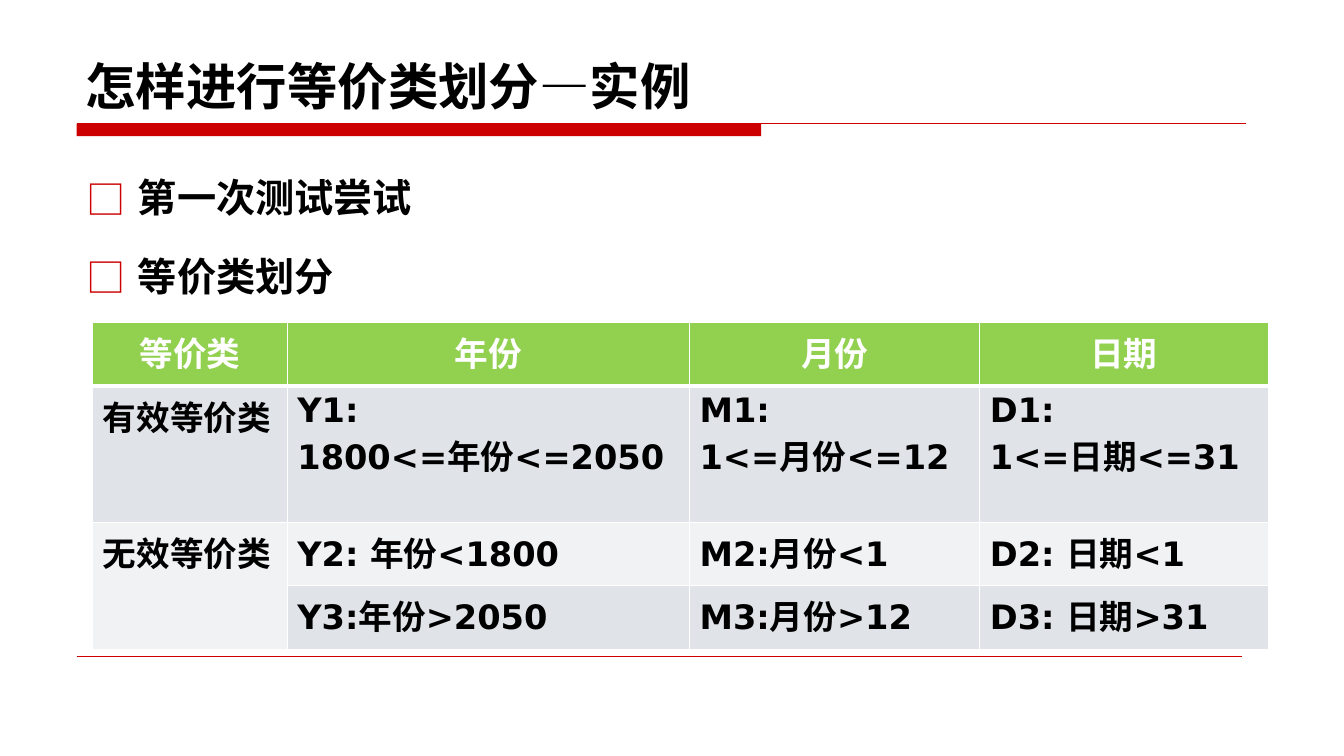
from dataclasses import dataclass

from lxml.etree import SubElement
from pptx import Presentation
from pptx.dml.color import RGBColor
from pptx.enum.shapes import MSO_CONNECTOR as Connector, MSO_SHAPE as Preset
from pptx.enum.text import MSO_ANCHOR as Anchor, PP_ALIGN as Align
from pptx.oxml.ns import qn
from pptx.util import Inches, Pt

BLACK = RGBColor(0x00, 0x00, 0x00)
WHITE = RGBColor(0xFF, 0xFF, 0xFF)
RED = RGBColor(0xCC, 0x00, 0x00)
GREEN = RGBColor(0x92, 0xD0, 0x50)
DARK_BAND = RGBColor(0xE0, 0xE4, 0xE9)
LIGHT_BAND = RGBColor(0xF0, 0xF2, 0xF4)
HAN_FONT = "Noto Sans CJK SC"
LATIN_FONT = "DejaVu Sans"

deck = Presentation()
deck.slide_width, deck.slide_height = Inches(13.33), Inches(7.5)
slide = deck.slides.add_slide(deck.slide_layouts[6])


@dataclass(frozen=True)
class Area:
    left: float
    top: float
    width: float
    height: float

    def box(self) -> tuple[int, int, int, int]:
        return across(self.left), down(self.top), across(self.width), down(self.height)


@dataclass(frozen=True)
class Rule:
    left: float
    right: float
    row: float
    weight: float


@dataclass(frozen=True)
class Style:
    size: float
    latin: str
    color: RGBColor


@dataclass(frozen=True)
class TableRow:
    height: float
    fills: tuple[RGBColor, ...]
    style: Style
    align: Align
    bottom_border: float
    cells: tuple[str, ...]


def across(columns: float) -> int:
    return round(deck.slide_width * columns / 100)


def down(rows: float) -> int:
    return round(deck.slide_height * rows / 100)


def add_run(paragraph, text: str, style: Style) -> None:
    run = paragraph.add_run()
    run.text = text
    run.font.size = Pt(style.size)
    run.font.bold = True
    run.font.name = style.latin
    run.font.color.rgb = style.color
    SubElement(run.font._element, qn("a:ea"), typeface=HAN_FONT)


def add_lines(frame, lines: list[str], style: Style) -> list:
    for index, line in enumerate(lines):
        paragraph = frame.paragraphs[0] if index == 0 else frame.add_paragraph()
        add_run(paragraph, line, style)
    return list(frame.paragraphs)


def add_text(area: Area, anchor: Anchor, lines: list[str], style: Style) -> list:
    frame = slide.shapes.add_textbox(*area.box()).text_frame
    frame.word_wrap = True
    frame.vertical_anchor = anchor
    return add_lines(frame, lines, style)


def add_bullet(paragraph) -> None:
    paragraph.line_spacing = 1.5
    paragraph.space_before = Pt(5.6)
    properties = paragraph._p.get_or_add_pPr()
    properties.set("marL", str(Inches(0.51)))
    properties.set("indent", str(-Inches(0.51)))
    color = SubElement(properties, qn("a:buClr"))
    SubElement(color, qn("a:srgbClr"), val=str(RED))
    SubElement(properties, qn("a:buFont"), typeface=HAN_FONT)
    SubElement(properties, qn("a:buChar"), char="□")


def add_rule(rule: Rule) -> None:
    line = slide.shapes.add_connector(
        Connector.STRAIGHT, across(rule.left), down(rule.row), across(rule.right), down(rule.row)
    )
    line.line.color.rgb = RED
    line.line.width = Pt(rule.weight)
    SubElement(line._element.spPr, qn("a:effectLst"))


def add_borders(cell, top: float, bottom: float) -> None:
    properties = cell._tc.get_or_add_tcPr()
    weights = {"a:lnL": 1, "a:lnR": 1, "a:lnT": top, "a:lnB": bottom}
    for position, (side, weight) in enumerate(weights.items()):
        border = properties.makeelement(qn(side), {"w": str(Pt(weight))})
        fill = SubElement(border, qn("a:solidFill"))
        SubElement(fill, qn("a:srgbClr"), val=str(WHITE))
        properties.insert(position, border)


def add_class_table(left: float, top: float, widths: tuple[float, ...], rows: list[TableRow]):
    area = Area(left, top, sum(widths), sum(row.height for row in rows))
    table = slide.shapes.add_table(len(rows), len(widths), *area.box()).table
    for column, width in zip(table.columns, widths):
        column.width = across(width)
    border_above = 1
    for row_index, row in enumerate(rows):
        table.rows[row_index].height = down(row.height)
        for column_index, (text, fill) in enumerate(zip(row.cells, row.fills)):
            cell = table.cell(row_index, column_index)
            cell.fill.solid()
            cell.fill.fore_color.rgb = fill
            add_borders(cell, border_above, row.bottom_border)
            if text:
                for paragraph in add_lines(cell.text_frame, text.split("\n"), row.style):
                    paragraph.alignment = row.align
        border_above = row.bottom_border
    return table


title_bar = slide.shapes.add_shape(Preset.RECTANGLE, *Area(5.7, 16.4, 50.93, 1.6).box())
title_bar.shadow.inherit = False
title_bar.fill.solid()
title_bar.fill.fore_color.rgb = RED
title_bar.line.fill.background()

for rule in (Rule(5.7, 92.7, 16.4, 0.75), Rule(5.7, 92.4, 86.8, 0.25)):
    add_rule(rule)

add_text(
    Area(5.63, 3.87, 87.53, 12.13), Anchor.BOTTOM,
    ["怎样进行等价类划分—实例"], Style(36, HAN_FONT, BLACK),
)
for topic in add_text(
    Area(5.7, 19.2, 87.53, 62.27), Anchor.TOP,
    ["第一次测试尝试", "等价类划分"], Style(28, HAN_FONT, BLACK),
):
    add_bullet(topic)

heading = Style(24, LATIN_FONT, WHITE)
entry = Style(24, LATIN_FONT, BLACK)
class_rows = [
    TableRow(8.4, (GREEN,) * 4, heading, Align.CENTER, 3, ("等价类", "年份", "月份", "日期")),
    TableRow(18, (DARK_BAND,) * 4, entry, Align.LEFT, 1, (
        "有效等价类", "Y1:\n1800<=年份<=2050", "M1:\n1<=月份<=12", "D1:\n1<=日期<=31",
    )),
    TableRow(8.4, (LIGHT_BAND,) * 4, entry, Align.LEFT, 1, (
        "无效等价类", "Y2: 年份<1800", "M2:月份<1", "D2: 日期<1",
    )),
    TableRow(8.4, (LIGHT_BAND,) + (DARK_BAND,) * 3, entry, Align.LEFT, 1, (
        "", "Y3:年份>2050", "M3:月份>12", "D3: 日期>31",
    )),
]
class_table = add_class_table(6.9, 42.67, (14.48, 29.93, 21.6, 21.45), class_rows)
class_table.cell(2, 0).merge(class_table.cell(3, 0))

deck.save("out.pptx")
